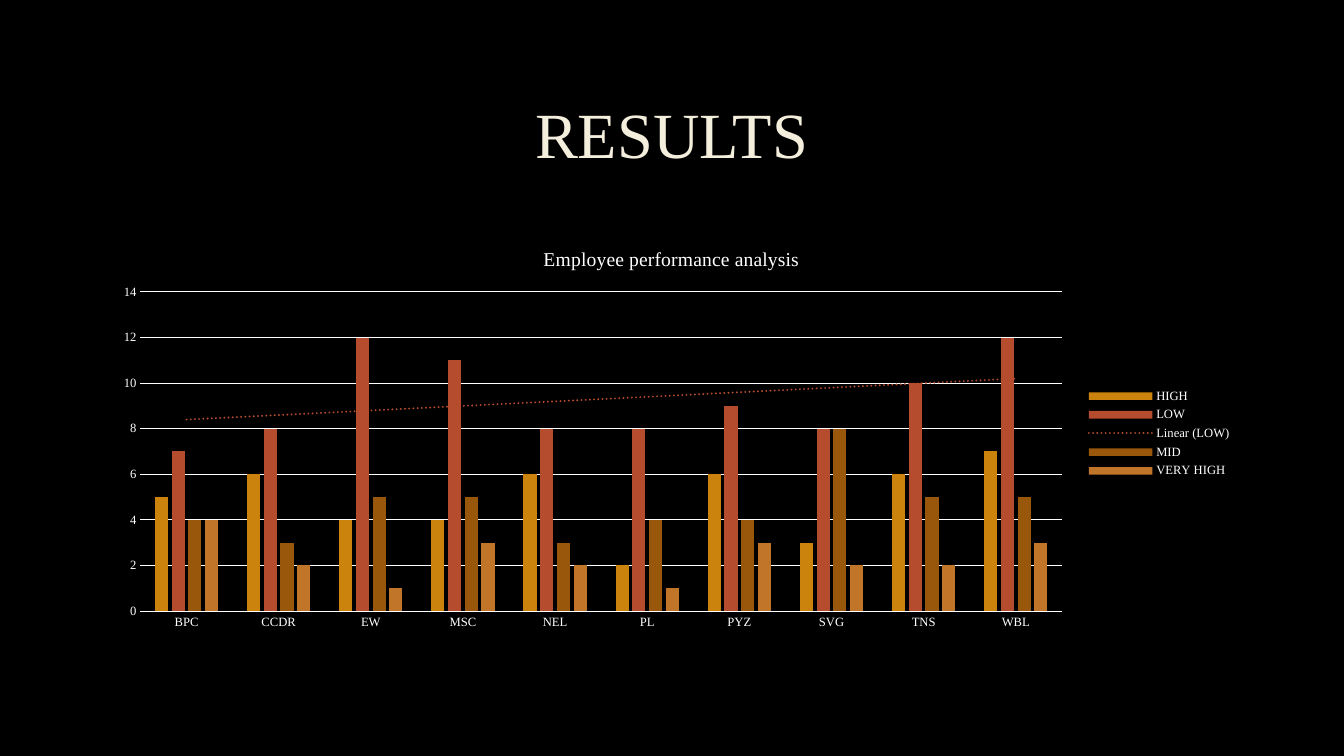
from dataclasses import dataclass

from lxml import etree
from pptx import Presentation
from pptx import util as u
from pptx.chart import data
from pptx.dml.color import RGBColor
from pptx.enum import chart as ch
from pptx.enum import text
from pptx.oxml import parse_xml
from pptx.oxml.ns import nsdecls, qn

EMU_PER_PX = 914400 / 100.8


@dataclass(frozen=True)
class Theme:
    font: str = "Times New Roman"
    background: str = "000000"
    heading: str = "F4EEDC"
    outline: str = "404040"
    ink: str = "FFFFFF"
    heading_size: int = 46
    chart_title_size: int = 14
    chart_size: int = 10
    label_size: int = 9
    rule_width: float = 0.75


THEME = Theme()
TEAMS = ["BPC", "CCDR", "EW", "MSC", "NEL", "PL", "PYZ", "SVG", "TNS", "WBL"]
RATINGS = [
    ("HIGH", "CC830E", [5, 6, 4, 4, 6, 2, 6, 3, 6, 7]),
    ("LOW", "B54C2D", [7, 8, 12, 11, 8, 8, 9, 8, 10, 12]),
    ("MID", "99570C", [4, 3, 5, 5, 3, 4, 4, 8, 5, 5]),
    ("VERY HIGH", "C17529", [4, 2, 1, 3, 2, 1, 3, 2, 2, 3]),
]
TREND_RATING = "LOW"


def px(length):
    return u.Emu(round(length * EMU_PER_PX))


def box(*lengths):
    return [px(length) for length in lengths]


def rgb(code):
    return RGBColor.from_string(code)


def style_font(font, size, color):
    font.name = THEME.font
    font.size = u.Pt(size)
    font.bold = False
    font.color.rgb = rgb(color)


def style_rule(line):
    line.color.rgb = rgb(THEME.ink)
    line.width = u.Pt(THEME.rule_width)


def add_heading(slide, wording, bounds):
    frame = slide.shapes.add_textbox(*bounds).text_frame
    frame.word_wrap = True
    frame.vertical_anchor = text.MSO_ANCHOR.MIDDLE
    line = frame.paragraphs[0]
    line.alignment = text.PP_ALIGN.CENTER
    line.line_spacing = 0.9
    run = line.add_run()
    run.text = wording
    style_font(run.font, THEME.heading_size, THEME.heading)
    outline = parse_xml(
        f'<a:ln {nsdecls("a")} w="{u.Pt(THEME.rule_width)}"><a:solidFill>'
        f'<a:srgbClr val="{THEME.outline}"><a:alpha val="10000"/></a:srgbClr>'
        '</a:solidFill><a:prstDash val="solid"/></a:ln>'
    )
    run.font._element.insert(0, outline)


def add_trend(series, color):
    trend = etree.fromstring(
        f'<c:trendline {nsdecls("c", "a")}><c:spPr>'
        f'<a:ln w="{u.Pt(1.5)}" cap="rnd"><a:solidFill><a:srgbClr val="{color}"/>'
        '</a:solidFill><a:prstDash val="sysDot"/></a:ln></c:spPr>'
        '<c:trendlineType val="linear"/><c:dispRSqr val="0"/>'
        '<c:dispEq val="0"/></c:trendline>'
    )
    series._element.find(qn("c:cat")).addprevious(trend)


def style_axis(axis):
    axis.major_tick_mark = ch.XL_TICK_MARK.NONE
    axis.minor_tick_mark = ch.XL_TICK_MARK.NONE
    style_font(axis.tick_labels.font, THEME.label_size, THEME.ink)


def add_rating_chart(slide, title, bounds):
    ratings = data.CategoryChartData()
    ratings.categories = TEAMS
    for name, _, counts in RATINGS:
        ratings.add_series(name, counts)
    chart = slide.shapes.add_chart(
        ch.XL_CHART_TYPE.COLUMN_CLUSTERED, *bounds, ratings
    ).chart
    style_font(chart.font, THEME.chart_size, THEME.ink)

    chart.has_title = True
    run = chart.chart_title.text_frame.paragraphs[0].add_run()
    run.text = title
    style_font(run.font, THEME.chart_title_size, THEME.ink)
    chart.chart_title.include_in_layout = False

    chart.has_legend = True
    chart.legend.position = ch.XL_LEGEND_POSITION.RIGHT
    chart.legend.include_in_layout = False
    style_font(chart.legend.font, THEME.label_size, THEME.ink)

    style_axis(chart.category_axis)
    style_rule(chart.category_axis.format.line)
    counts_axis = chart.value_axis
    style_axis(counts_axis)
    counts_axis.format.line.fill.background()
    counts_axis.minimum_scale = 0
    counts_axis.maximum_scale = 14
    counts_axis.major_unit = 2
    counts_axis.has_major_gridlines = True
    style_rule(counts_axis.major_gridlines.format.line)

    columns = chart.plots[0]
    columns.gap_width = 219
    columns.overlap = -27
    columns.vary_by_categories = False
    for series, (name, color, _) in zip(columns.series, RATINGS):
        series.format.fill.solid()
        series.format.fill.fore_color.rgb = rgb(color)
        series.invert_if_negative = False
        if name == TREND_RATING:
            add_trend(series, color)


def main():
    deck = Presentation()
    deck.slide_width, deck.slide_height = box(1344, 756)
    slide = deck.slides.add_slide(deck.slide_layouts[6])
    slide.background.fill.solid()
    slide.background.fill.fore_color.rgb = rgb(THEME.background)
    add_heading(slide, "RESULTS", box(101, 68, 1141, 139))
    add_rating_chart(
        slide, "Employee performance analysis", box(101, 229, 1141, 409)
    )
    deck.save("out.pptx")


if __name__ == "__main__":
    main()
